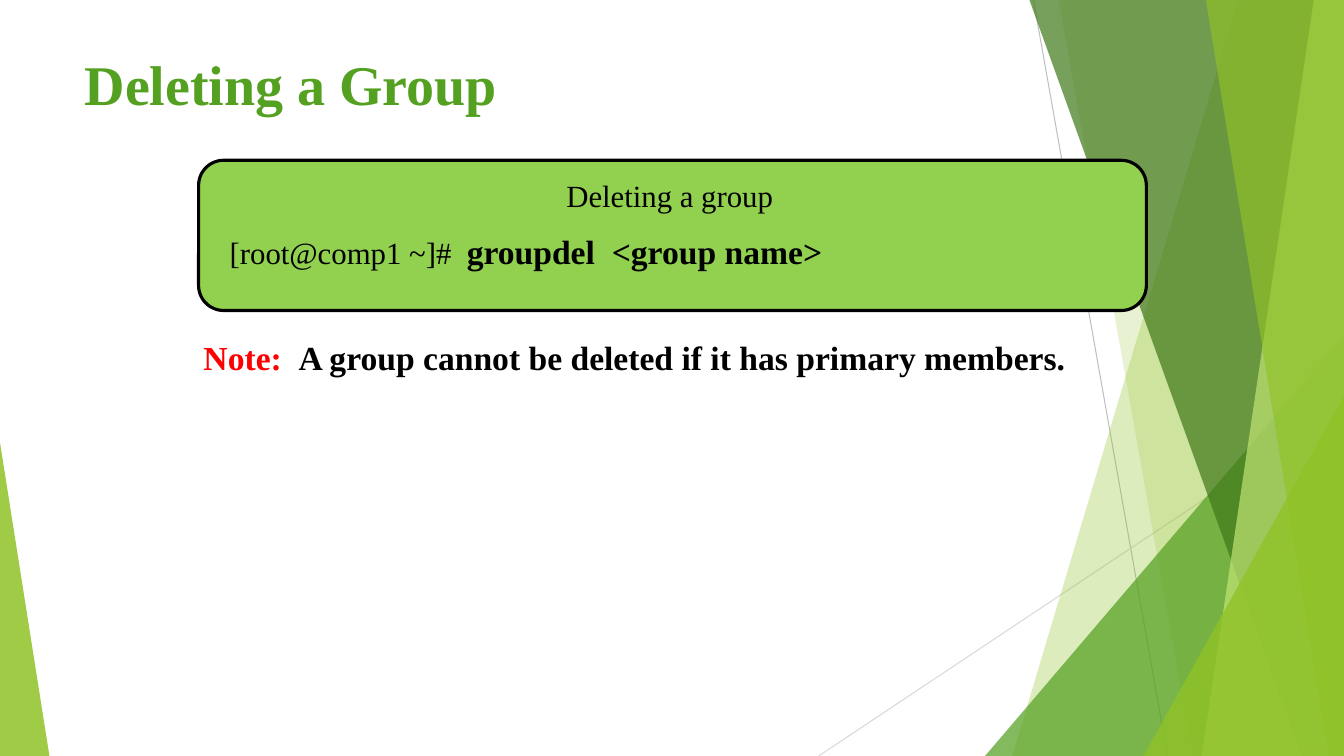
import pptx
import pptx.dml.color
import pptx.enum.shapes
import pptx.enum.text
import pptx.oxml
import pptx.oxml.ns
import pptx.util
from pptx.util import Inches

COLORS = {
    "lime": "90C226", "green": "54A021", "forest": "3F7819", "pale": "C0E474",
    "panel": "92D050", "black": "000000", "red": "FF0000",
    "gray": "BFBFBF", "light gray": "D9D9D9",
}
FONT = "Times New Roman"
WIDTH, HEIGHT = 13.33, 7.5
ALIGN = pptx.enum.text.PP_ALIGN
SHAPES = pptx.enum.shapes.MSO_SHAPE


def rgb(name):
    return pptx.dml.color.RGBColor.from_string(COLORS[name])


def write(frame, *texts, size=24, colors=("black",), bold=(True,),
          align=ALIGN.LEFT, spacing=None):
    """Fill a text frame with one paragraph; sizes, colours and bold go by span."""
    frame.word_wrap = True
    frame.vertical_anchor = pptx.enum.text.MSO_ANCHOR.TOP
    para = frame.paragraphs[0]
    para.alignment = align
    if spacing:
        para.line_spacing = pptx.util.Pt(spacing)
    sizes = size if isinstance(size, tuple) else (size,) * len(texts)
    for index, text in enumerate(texts):
        span = para.add_run()
        span.text = text
        span.font.name = FONT
        span.font.size = pptx.util.Pt(sizes[index])
        span.font.bold = bold[index % len(bold)]
        span.font.color.rgb = rgb(colors[index % len(colors)])


deck = pptx.Presentation()
deck.slide_width, deck.slide_height = Inches(WIDTH), Inches(HEIGHT)
page = deck.slides.add_slide(deck.slide_layouts[5])
title = page.shapes.title

# Thin rays behind the facets
for x1, y1, x2, y2, color in [
    (10.25, 0, 11.58, HEIGHT, "gray"),
    (WIDTH, 4.03, 8.12, HEIGHT, "light gray"),
]:
    ray = page.shapes.add_connector(
        pptx.enum.shapes.MSO_CONNECTOR.STRAIGHT,
        Inches(x1), Inches(y1), Inches(x2), Inches(y2))
    ray.line.color.rgb = rgb(color)
    ray.line.width = pptx.util.Pt(0.75)
    ray._element.spPr.append(pptx.oxml.parse_xml(
        f"<a:effectLst {pptx.oxml.ns.nsdecls('a')}/>"))

# Bands run from a top x to a bottom x and fill to the right edge;
# triangles give left, top, width and the place of their tip
facets = [
    ("band", (12.28, 10.04), "lime", 30),
    ("band", (10.5, 11.83), "lime", 20),
    ("triangle", (9.77, 3.33, 3.56, 1), "green", 72),
    ("band", (10.21, 12.91), "forest", 70),
    ("band", (13.03, 11.92), "pale", 70),
    ("band", (11.96, 13.18), "lime", 65),
    ("triangle", (11.34, 3.93, 1.99, 1), "lime", 80),
    ("triangle", (0, 4.39, 0.49, 0), "lime", 85),
]
for kind, geometry, color, opacity in facets:
    if kind == "band":
        top_x, bottom_x = geometry
        outline = page.shapes.build_freeform(Inches(top_x), 0)
        outline.add_line_segments([
            (Inches(WIDTH), 0), (Inches(WIDTH), Inches(HEIGHT)),
            (Inches(bottom_x), Inches(HEIGHT))], close=True)
        facet = outline.convert_to_shape()
    else:
        left, top, width, tip = geometry
        facet = page.shapes.add_shape(
            SHAPES.ISOSCELES_TRIANGLE, Inches(left), Inches(top),
            Inches(width), Inches(HEIGHT - top))
        facet.adjustments[0] = tip
    facet.shadow.inherit = False
    facet.line.fill.background()
    facet.fill.solid()
    facet.fill.fore_color.rgb = rgb(color)
    fill_color = facet._element.spPr.find(".//" + pptx.oxml.ns.qn("a:srgbClr"))
    fill_color.append(pptx.oxml.parse_xml(
        f"<a:alpha {pptx.oxml.ns.nsdecls('a')} val='{opacity * 1000}'/>"))

# Title, kept above the facets
title.left, title.top = Inches(0.74), Inches(0.44)
title.width, title.height = Inches(9.4), Inches(1.44)
page.shapes._spTree.append(title._element)
write(title.text_frame, "Deleting a Group", size=40, colors=("green",))

# Command panel
panel = page.shapes.add_shape(
    SHAPES.ROUNDED_RECTANGLE, Inches(1.97), Inches(1.59), Inches(9.4), Inches(1.49))
panel.shadow.inherit = False
panel.fill.solid()
panel.fill.fore_color.rgb = rgb("panel")
panel.line.color.rgb = rgb("black")
panel.line.width = pptx.util.Pt(2.25)

caption = page.shapes.add_textbox(Inches(2.17), Inches(1.7), Inches(9.02), Inches(0.47))
write(caption.text_frame, "Deleting a group ", size=22, bold=(False,),
      align=ALIGN.CENTER)

command = page.shapes.add_textbox(Inches(2.18), Inches(2.22), Inches(9.14), Inches(0.52))
write(command.text_frame, "[root@comp1 ~]#  ", "groupdel  <group name>",
      size=(22, 24), bold=(False, True), spacing=30)

note = page.shapes.add_textbox(Inches(1.92), Inches(3.29), Inches(9.23), Inches(0.5))
write(note.text_frame, "Note:  ",
      "A group cannot be deleted if it has primary members.",
      colors=("red", "black"))

deck.save("out.pptx")
